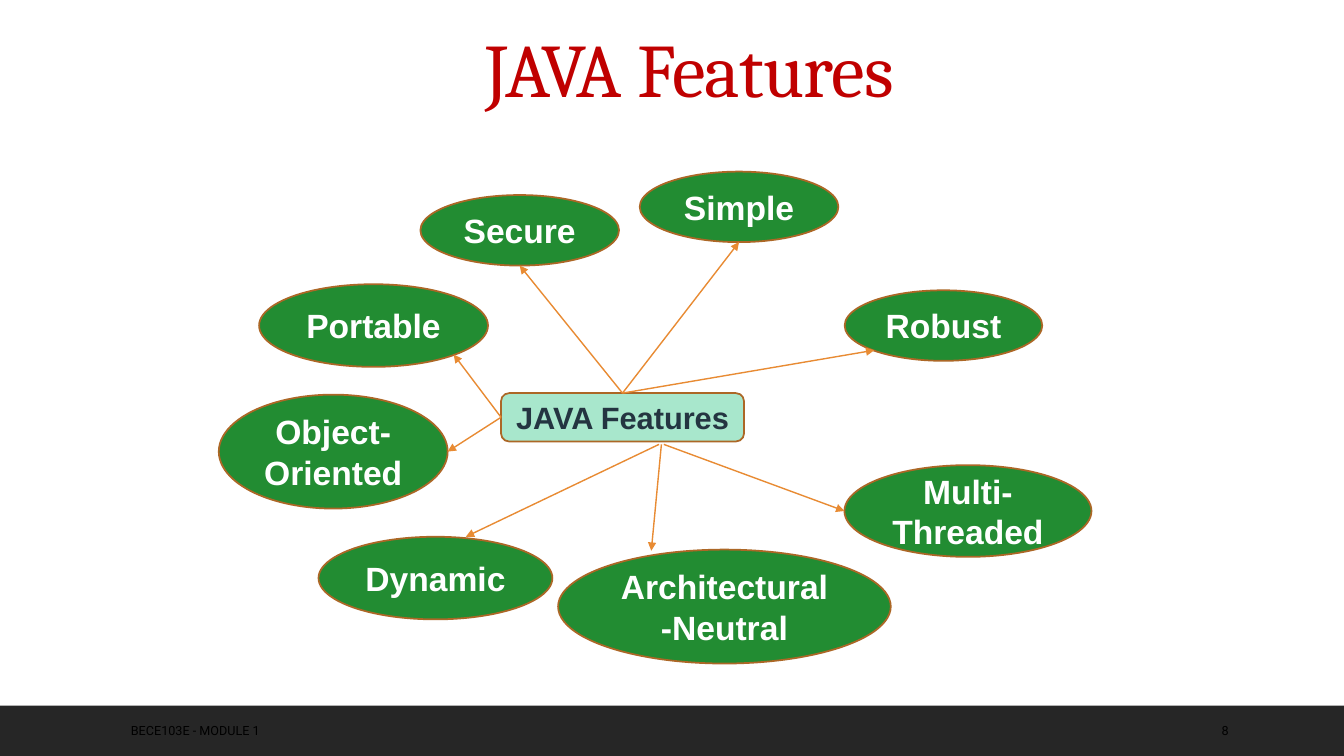
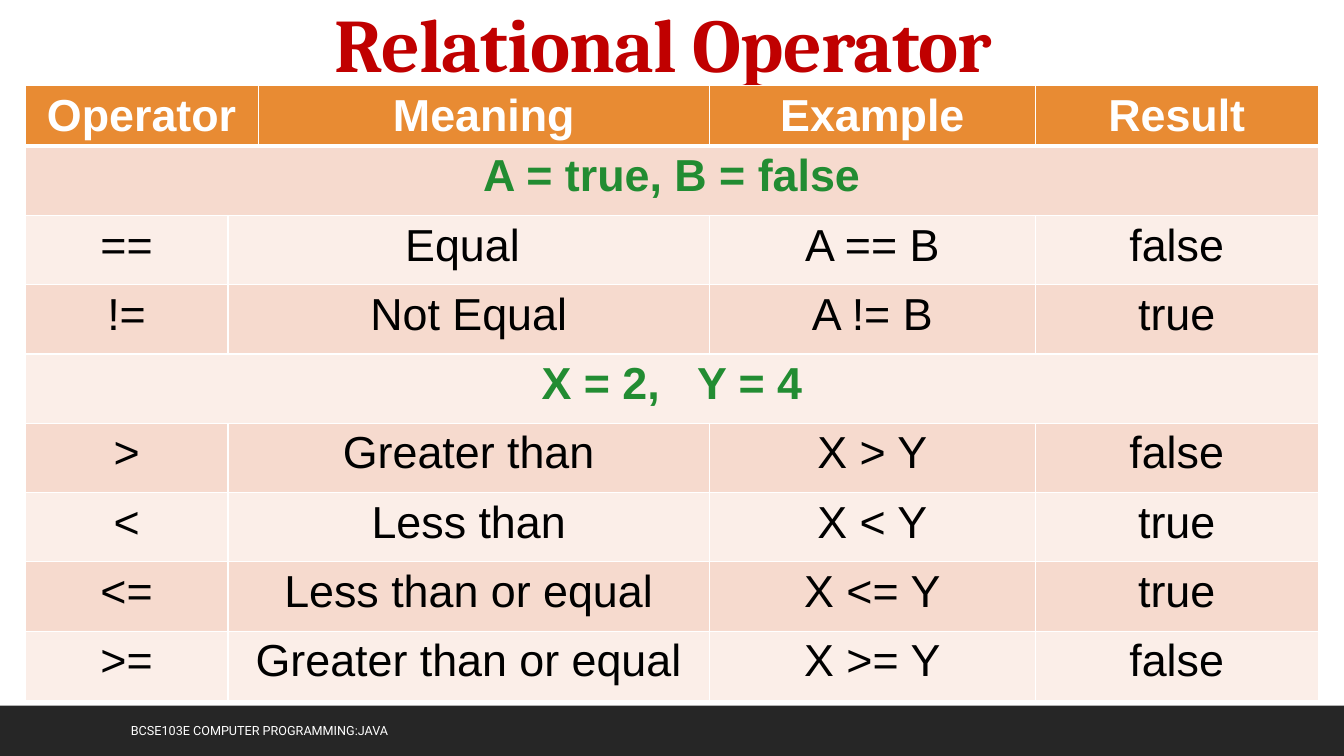
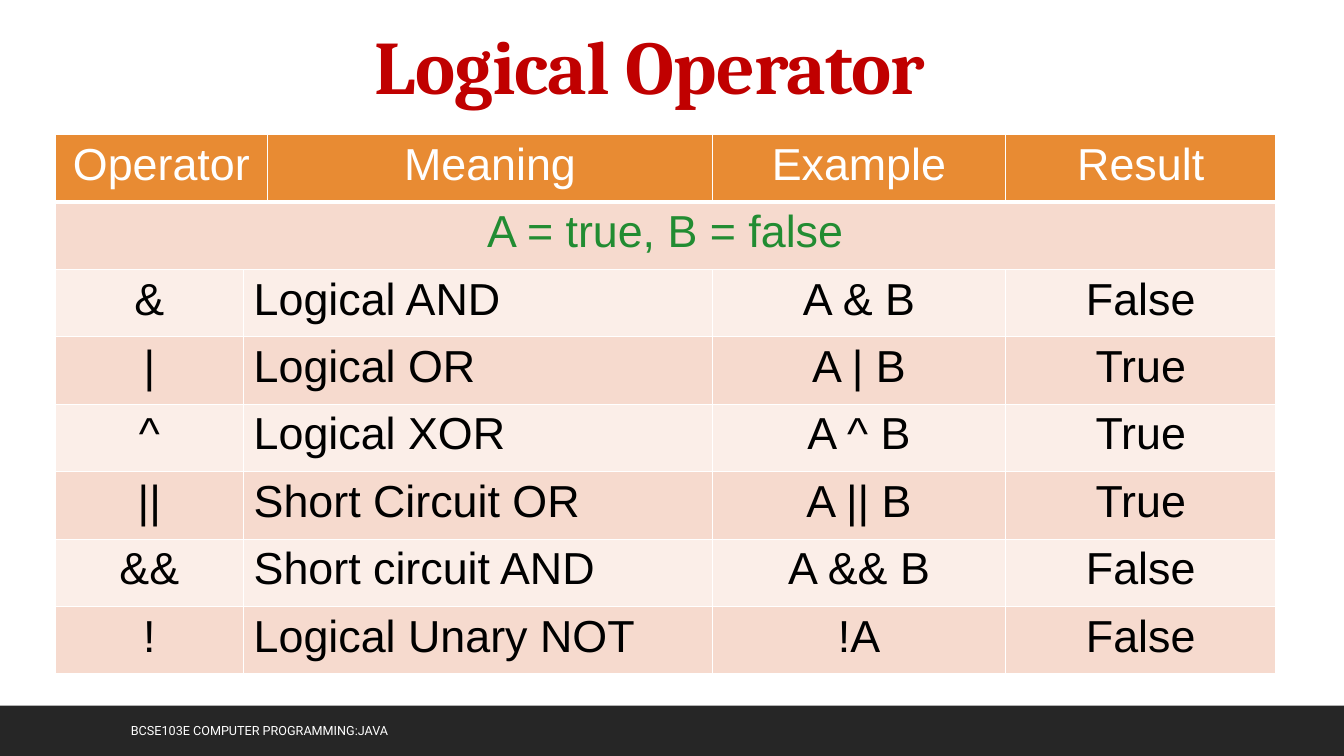
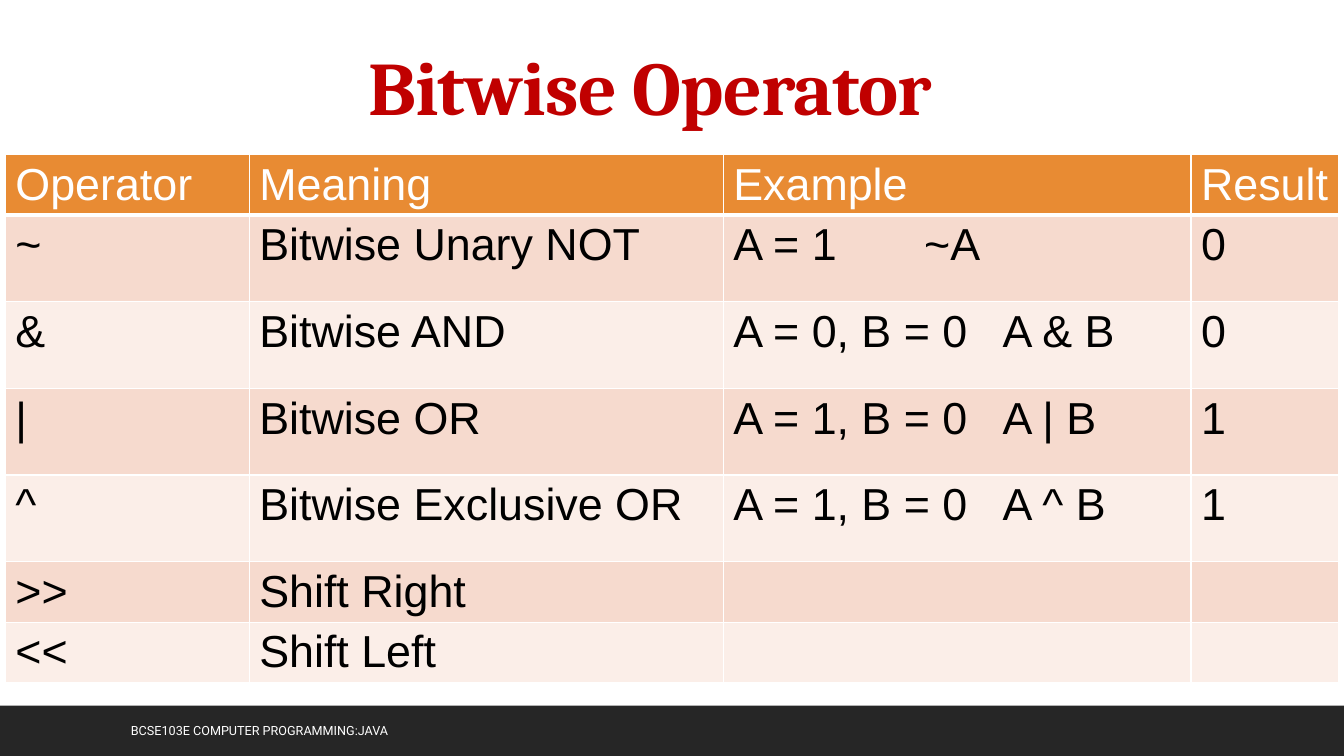
from lxml import etree
from pptx import Presentation
from pptx import util as u
from pptx.dml.color import RGBColor
from pptx.enum import shapes, text
from pptx.oxml import ns

WIDTH, HEIGHT = u.Inches(13.333), u.Inches(7.5)
WHITE, BLACK, BAND = "FFFFFF", "000000", "262626"
RED, GREEN, MINT, NAVY = "C00000", "228C32", "A8E7CC", "243541"
ORANGE, BROWN, PEACH, PALE = "E88B33", "AC6726", "F6DACE", "FBEEE8"
ALIGN = {"l": text.PP_ALIGN.LEFT, "c": text.PP_ALIGN.CENTER}
COURSE = "BCSE103E COMPUTER PROGRAMMING:JAVA"

HUB = (37.28, 52, 18.08, 6.4)
TOP, LEFT = (0.5, 0), (0, 0.5)
FEATURES = [
    ("Secure", (31.28, 25.8, 14.78, 9.33), TOP, (0.5, 1)),
    ("Portable", (19.28, 37.6, 17.03, 10.93), LEFT, (0.85, 0.85)),
    ("Object-Oriented", (16.28, 52.2, 17.03, 15.07), LEFT, (1, 0.5)),
    ("Simple", (47.6, 22.7, 14.78, 9.33), TOP, (0.5, 1)),
    ("Robust", (62.85, 38.4, 14.7, 9.33), TOP, (0.15, 0.85)),
    ("Multi-Threaded", (62.83, 61.53, 18.38, 12.13), (0.67, 1.06), (0, 0.5)),
    ("Architectural-Neutral", (41.53, 72.7, 24.75, 15.07), (0.66, 1.06), (0.28, 0.01)),
    ("Dynamic", (23.7, 71, 17.4, 10.93), (0.65, 1.06), (0.63, 0)),
]

HEADER = ["Operator", "Meaning", "Example", "Result"]
RELATIONAL = [
    HEADER,
    ["A = true, B = false"],
    ["==", "Equal ", "A == B", "false"],
    ["!=", "Not Equal", "A != B", "true"],
    [("X = 2,", 17.6, "Y = 4")],
    [">", "Greater than", "X > Y", "false"],
    ["<", "Less than", "X < Y", "true"],
    ["<=", "Less than or equal", "X <= Y", "true"],
    [">=", "Greater than or equal", "X >= Y", "false"],
]
LOGICAL = [
    HEADER,
    ["A = true, B = false"],
    ["&", "Logical AND", "A & B", "False"],
    ["|", "Logical OR", "A | B", "True"],
    ["^", "Logical XOR", "A ^ B", "True"],
    ["||", "Short Circuit OR", "A || B", "True"],
    ["&&", "Short circuit AND", "A && B", "False"],
    ["!", "Logical Unary NOT", "!A", "False"],
]
BITWISE = [
    HEADER,
    ["~", "Bitwise Unary NOT", ("A = 1", 53.4, "~A"), "0"],
    ["&", "Bitwise AND", ("A = 0, B = 0", 15.9, "A & B"), "0"],
    ["|", "Bitwise OR", ("A = 1, B = 0", 15.9, "A | B"), "1"],
    ["^", "Bitwise Exclusive OR", ("A = 1, B = 0", 15.9, "A ^ B"), "1"],
    [">>", "Shift Right", "", ""],
    ["<<", "Shift Left", "", ""],
]


def rgb(color):
    return RGBColor.from_string(color)


def across(percent):
    return round(WIDTH * percent / 100)


def down(percent):
    return round(HEIGHT * percent / 100)


def place(box):
    x, y, w, h = box
    return across(x), down(y), across(w), down(h)


def point(box, share):
    x, y, w, h = box
    return across(x + w * share[0]), down(y + h * share[1])


def write(tf, content, size, color, font="Arial", bold=False, align="l"):
    p = tf.paragraphs[0]
    p.alignment = ALIGN[align]
    p.font.size, p.font.name, p.font.bold = u.Pt(size), font, bold
    p.font.color.rgb = rgb(color)
    if isinstance(content, tuple):
        before, gap, after = content
        p.add_run().text = before
        space(p.add_run(), " ", gap)
        p.add_run().text = after
    elif content:
        p.add_run().text = content
    return p


def space(r, content, points):
    r.text = content
    r._r.get_or_add_rPr().set("spc", str(round(points * 100)))


def add_title(slide, content, box, bold=True, anchor=text.MSO_ANCHOR.BOTTOM):
    sp = slide.shapes.title
    sp.left, sp.top, sp.width, sp.height = place(box)
    tf = sp.text_frame
    tf.auto_size, tf.vertical_anchor = text.MSO_AUTO_SIZE.NONE, anchor
    p = write(tf, "", 54, RED, "Cambria", bold, "c")
    p.line_spacing = 0.9
    space(p.add_run(), content, -0.5)


def add_footer(slide, content, color, x=9, w=56):
    tf = slide.shapes.add_textbox(*place((x, 94, w, 5.33))).text_frame
    tf.word_wrap, tf.vertical_anchor = True, text.MSO_ANCHOR.MIDDLE
    write(tf, content, 9, color, "Roboto")


def add_shape(slide, kind, box, fill, line=None):
    sp = slide.shapes.add_shape(kind, *place(box))
    sp.shadow.inherit = False
    sp.fill.solid()
    sp.fill.fore_color.rgb = rgb(fill)
    if line:
        sp.line.color.rgb, sp.line.width = rgb(line), u.Pt(1.25)
    else:
        sp.line.fill.background()
    return sp


def add_label(slide, kind, box, content, fill, size, color):
    tf = add_shape(slide, kind, box, fill, BROWN).text_frame
    tf.word_wrap, tf.vertical_anchor = True, text.MSO_ANCHOR.MIDDLE
    write(tf, content, size, color, bold=True, align="c")


def add_arrow(slide, start, end):
    line = slide.shapes.add_connector(shapes.MSO_CONNECTOR.STRAIGHT, *start, *end)
    line.line.color.rgb, line.line.width = rgb(ORANGE), u.Pt(1)
    etree.SubElement(line.line._get_or_add_ln(), ns.qn("a:tailEnd"), type="triangle")
    etree.SubElement(line._element.spPr, ns.qn("a:effectLst"))


def add_borders(cell, bottom):
    tcPr = cell._tc.get_or_add_tcPr()
    for side, points in zip("LRTB", (1, 1, 1, bottom)):
        ln = etree.SubElement(tcPr, ns.qn(f"a:ln{side}"), w=str(u.Pt(points)))
        fill = etree.SubElement(ln, ns.qn("a:solidFill"))
        etree.SubElement(fill, ns.qn("a:srgbClr"), val=WHITE)


def cell_starts(row, texts, columns):
    if len(texts) == 1:
        return [0]
    if columns == len(texts):
        return list(range(columns))
    return [0, 2, 3, 4] if row == 0 else [0, 1, 3, 4]


def add_table(slide, x, y, widths, heights, rows, aligns, bold=False):
    box = place((x, y, sum(widths), sum(heights)))
    table = slide.shapes.add_table(len(rows), len(widths), *box).table
    for column, width in zip(table.columns, widths):
        column.width = across(width)
    for row, height in zip(table.rows, heights):
        row.height = down(height)
    for i, texts in enumerate(rows):
        fill = ORANGE if i == 0 else (PALE, PEACH)[i % 2]
        for j in range(len(widths)):
            cell = table.cell(i, j)
            add_borders(cell, 3 if i == 0 else 1)
            cell.margin_bottom = 0
            cell.fill.solid()
            cell.fill.fore_color.rgb = rgb(fill)
        starts = cell_starts(i, texts, len(widths))
        ends = starts[1:] + [len(widths)]
        special = i == 0 or len(texts) == 1
        color = WHITE if i == 0 else GREEN if special else BLACK
        for k, (start, end) in enumerate(zip(starts, ends)):
            cell = table.cell(i, start)
            if end - start > 1:
                cell.merge(table.cell(i, end - 1))
            align = aligns[0] if special else aligns[k]
            write(cell.text_frame, texts[k], 32, color, bold=bold and special, align=align)


def add_band(slide, layout):
    sp = add_shape(slide, shapes.MSO_SHAPE.RECTANGLE, (0, 93.33, 100, 6.67), BAND)
    layout.shapes._spTree.insert(2, sp._element)


def features_slide(slide):
    add_title(slide, "JAVA Features", (33.25, 3.6, 36.15, 12), False, text.MSO_ANCHOR.TOP)
    add_footer(slide, "BECE103E - MODULE 1", BLACK)
    add_footer(slide, "8", BLACK, 90.15, 6.4)
    add_label(slide, shapes.MSO_SHAPE.ROUNDED_RECTANGLE, HUB, "JAVA Features", MINT, 22, NAVY)
    for name, box, _, _ in FEATURES:
        add_label(slide, shapes.MSO_SHAPE.OVAL, box, name, GREEN, 24, WHITE)
    for _, box, start, end in FEATURES:
        add_arrow(slide, point(HUB, start), point(box, end))


def operator_slide(slide, title, box, *table, **options):
    add_footer(slide, COURSE, WHITE)
    add_title(slide, title, box)
    add_table(slide, *table, **options)


def main():
    prs = Presentation()
    prs.slide_width, prs.slide_height = WIDTH, HEIGHT
    layout = prs.slide_layouts[5]
    features, relational, logical, bitwise = [prs.slides.add_slide(layout) for _ in range(4)]
    add_band(features, layout)
    features_slide(features)
    operator_slide(relational, "Relational Operator", (12.8, 1.07, 73.13, 11.33),
                   1.88, 11.33, [15.08, 2.25, 33.6, 24.22, 21.08],
                   [8] + [9.17] * 8, RELATIONAL, "cccc", bold=True)
    operator_slide(logical, "Logical Operator", (9, 2.13, 78.75, 13.2),
                   4.1, 17.8, [14.03, 1.8, 33.08, 21.83, 20.1],
                   [8.92] * 8, LOGICAL, "clcc")
    operator_slide(bitwise, "Bitwise Operator", (9, 4.4, 78.75, 13.73),
                   0.4, 20.43, [18.15, 35.27, 34.8, 11],
                   [8] + [11.47] * 4 + [8] * 2, BITWISE, "llll")
    prs.save("out.pptx")


if __name__ == "__main__":
    main()
